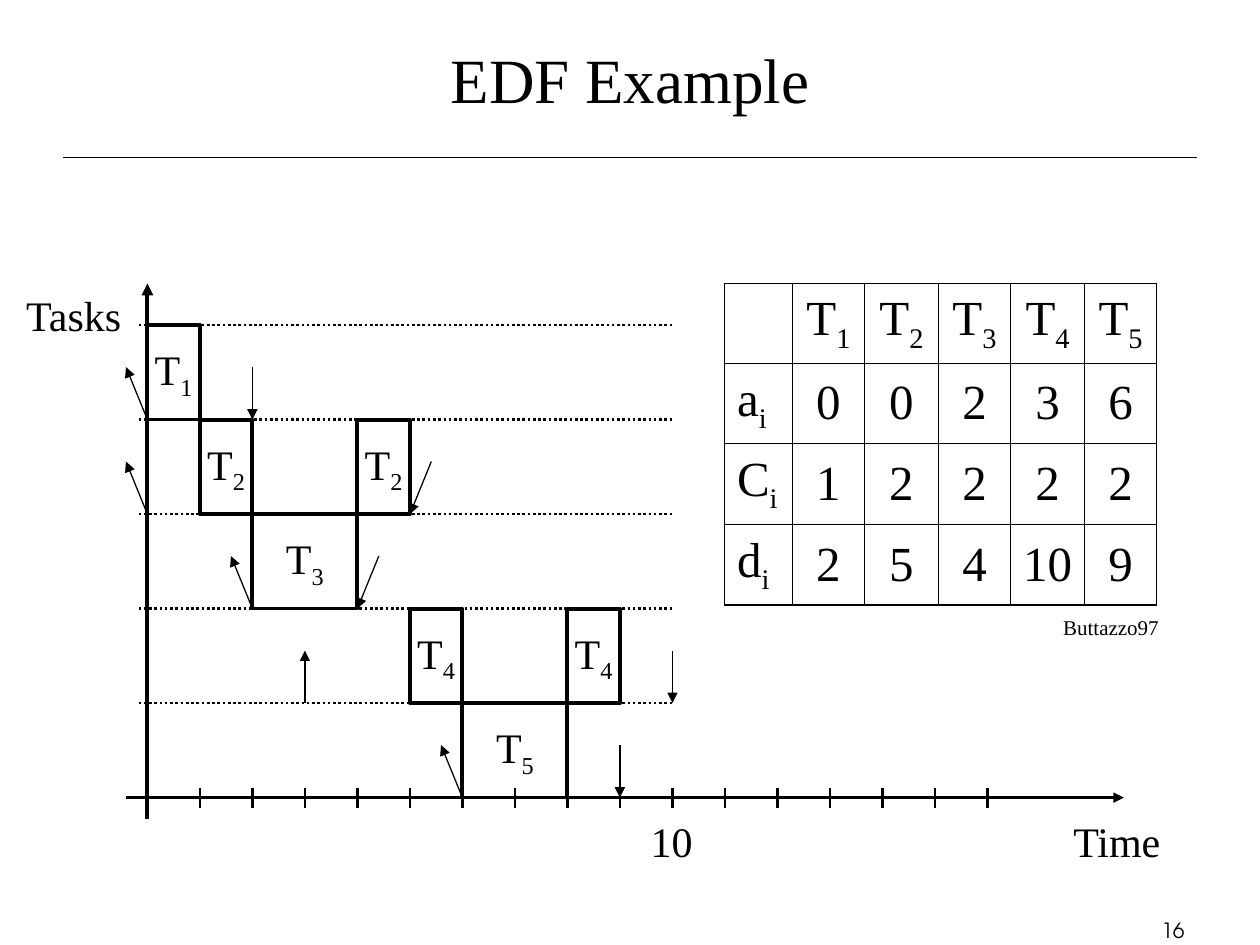
import pptx
import pptx.util
import pptx.dml.color
import pptx.enum.dml
import pptx.enum.shapes
import pptx.enum.text
import pptx.oxml
import pptx.oxml.ns
from lxml import etree

Inches, Pt = pptx.util.Inches, pptx.util.Pt
ALIGN = pptx.enum.text.PP_ALIGN
MIDDLE = pptx.enum.text.MSO_ANCHOR.MIDDLE
COLORS = {"ink": "000000"}
SERIF, SANS = "Times New Roman", "TeX Gyre Adventor"
INK = pptx.dml.color.RGBColor.from_string(COLORS["ink"])

UNIT = 5 / 12  # width of one time unit
LANE = 0.75  # height of one task lane
ORIGIN_X, LANES_TOP = 1.17, 0.33  # inside the schedule box
EXECUTIONS = [(1, 0, 1), (2, 1, 1), (3, 2, 2), (2, 4, 1),
              (4, 5, 1), (5, 6, 2), (4, 8, 1)]  # task, start, duration
# task: time and sideways lean
ARRIVALS = {1: (0, -0.17), 2: (0, -0.17), 3: (2, -0.17), 4: (3, 0), 5: (6, -0.17)}
DEADLINES = {1: (2, 0), 2: (5, 0.17), 3: (4, 0.17), 4: (10, 0), 5: (9, 0)}

TASK_TABLE = [
    ["", "T_1", "T_2", "T_3", "T_4", "T_5"],
    ["a_i", "0", "0", "2", "3", "6"],
    ["C_i", "1", "2", "2", "2", "2"],
    ["d_i", "2", "5", "4", "10", "9"],
]
COLUMN_WIDTHS = [0.54, 0.57, 0.59, 0.57, 0.59, 0.57]
ROW_HEIGHTS = [0.63, 0.64, 0.64, 0.64]


def write(frame, text, size, align=ALIGN.LEFT, face=SERIF, wrap=False):
    """Fill a text frame; what follows an underscore becomes a subscript."""
    frame.word_wrap = wrap
    paragraph = frame.paragraphs[0]
    paragraph.alignment = align
    for index, part in enumerate(text.split("_")):
        run = paragraph.add_run()
        run.text = part
        font_format = {"name": face, "size": Pt(size), "bold": False}
        for attribute, value in font_format.items():
            setattr(run.font, attribute, value)
        run.font.color.rgb = INK
        if index:
            run.font._element.set("baseline", "-25000")


def add_label(slide, box, text, size, **style):
    label = slide.shapes.add_textbox(*map(Inches, box))
    write(label.text_frame, text, size, **style)


def add_line(slide, start, end, width, arrow=False, dotted=False):
    line = slide.shapes.add_connector(
        pptx.enum.shapes.MSO_CONNECTOR.STRAIGHT, *map(Inches, (*start, *end)))
    line.line.color.rgb = INK
    line.line.width = Pt(width)
    if dotted:
        line.line.dash_style = pptx.enum.dml.MSO_LINE.ROUND_DOT
    if arrow:
        tip = etree.SubElement(line.line._get_or_add_ln(), pptx.oxml.ns.qn("a:tailEnd"))
        tip.set("type", "triangle")
    etree.SubElement(line._element.spPr, pptx.oxml.ns.qn("a:effectLst"))


def add_heading(slide, left, top, width, height):
    title = slide.shapes.title
    placement = {"left": left + 0.25, "top": top, "width": width - 0.5, "height": height}
    for attribute, value in placement.items():
        setattr(title, attribute, Inches(value))
    title.text_frame.vertical_anchor = MIDDLE
    write(title.text_frame, "EDF Example", 36, ALIGN.CENTER, wrap=True)
    rule_y = top + height
    add_line(slide, (left, rule_y), (left + width, rule_y), 0.75)


def add_schedule(slide, left, top):
    """Gantt chart of the tasks, with arrivals (up) and deadlines (down)."""
    origin = left + ORIGIN_X
    lanes_top = top + LANES_TOP
    axis_y = lanes_top + 5 * LANE

    def time_x(time):
        return origin + time * UNIT

    def lane_bottom(task):
        return lanes_top + task * LANE

    add_line(slide, (origin - 0.17, axis_y), (left + 8.92, axis_y), 2, arrow=True)
    add_line(slide, (origin, axis_y + 0.17), (origin, top), 2.25, arrow=True)
    for time in range(1, 17):
        add_line(slide, (time_x(time), axis_y - 0.08), (time_x(time), axis_y + 0.08), 1.5)
    for lane in range(5):
        lane_y = lane_bottom(lane)
        add_line(slide, (origin - 0.07, lane_y), (time_x(10), lane_y), 1.5, dotted=True)

    for task, start, duration in EXECUTIONS:
        box = time_x(start), lane_bottom(task - 1), duration * UNIT, LANE
        block = slide.shapes.add_shape(
            pptx.enum.shapes.MSO_SHAPE.RECTANGLE, *map(Inches, box))
        block.shadow.inherit = False
        block.fill.background()
        block.line.color.rgb = INK
        block.line.width = Pt(2.25)
        block.text_frame.vertical_anchor = MIDDLE
        write(block.text_frame, f"T_{task}", 24, ALIGN.CENTER)

    for events, points_up in ((ARRIVALS, True), (DEADLINES, False)):
        for task, (time, lean) in events.items():
            foot = time_x(time), lane_bottom(task)
            head = foot[0] + lean, foot[1] - UNIT
            start, end = (foot, head) if points_up else (head, foot)
            add_line(slide, start, end, 0.75, arrow=True)

    add_label(slide, (left + 0.11, top, 0.98, 0.5), "Tasks", 24)
    add_label(slide, (time_x(10) - 0.27, axis_y + 0.09, 0.53, 0.5), "10", 24)
    add_label(slide, (left + 8.42, axis_y + 0.09, 0.9, 0.5), "Time", 24)


def set_borders(cell, widths):
    """Draw the left, right, top and bottom borders in the given point widths."""
    properties = cell._tc.get_or_add_tcPr()
    for index, (side, width) in enumerate(zip("LRTB", widths)):
        properties.insert(index, pptx.oxml.parse_xml(
            f'<a:ln{side} {pptx.oxml.ns.nsdecls("a")} w="{Pt(width)}"><a:solidFill>'
            f'<a:srgbClr val="{COLORS["ink"]}"/></a:solidFill></a:ln{side}>'))


def add_task_table(slide, left, top):
    rows, columns = len(ROW_HEIGHTS), len(COLUMN_WIDTHS)
    width, height = sum(COLUMN_WIDTHS), sum(ROW_HEIGHTS)
    table = slide.shapes.add_table(
        rows, columns, *map(Inches, (left, top, width, height))).table
    table.first_row = table.horz_banding = False
    for column, column_width in zip(table.columns, COLUMN_WIDTHS):
        column.width = Inches(column_width)
    for row, row_height in zip(table.rows, ROW_HEIGHTS):
        row.height = Inches(row_height)
    for r, values in enumerate(TASK_TABLE):
        for c, value in enumerate(values):
            cell = table.cell(r, c)
            cell.fill.background()
            cell.vertical_anchor = MIDDLE
            write(cell.text_frame, value, 28, ALIGN.CENTER if c else ALIGN.LEFT, wrap=True)
            outer_sides = c == 0, c == columns - 1, r == 0, r == rows - 1
            set_borders(cell, [1.08 if outer else 0.45 for outer in outer_sides])
    add_label(slide, (left + 2.59, top + height + 0.03, 0.96, 0.3), "Buttazzo97", 12)


def main():
    deck = pptx.Presentation()
    deck.slide_width, deck.slide_height = Inches(10), Inches(7.5)
    slide = deck.slides.add_slide(deck.slide_layouts.get_by_name("Title Only"))
    add_heading(slide, 0.5, 0, 9, 1.25)
    add_schedule(slide, 0, 2.25)
    add_task_table(slide, 5.75, 2.25)
    add_label(slide, (7.42, 7.23, 2.08, 0.25), "16", 12,
              align=ALIGN.RIGHT, face=SANS, wrap=True)
    deck.save("out.pptx")


if __name__ == "__main__":
    main()
